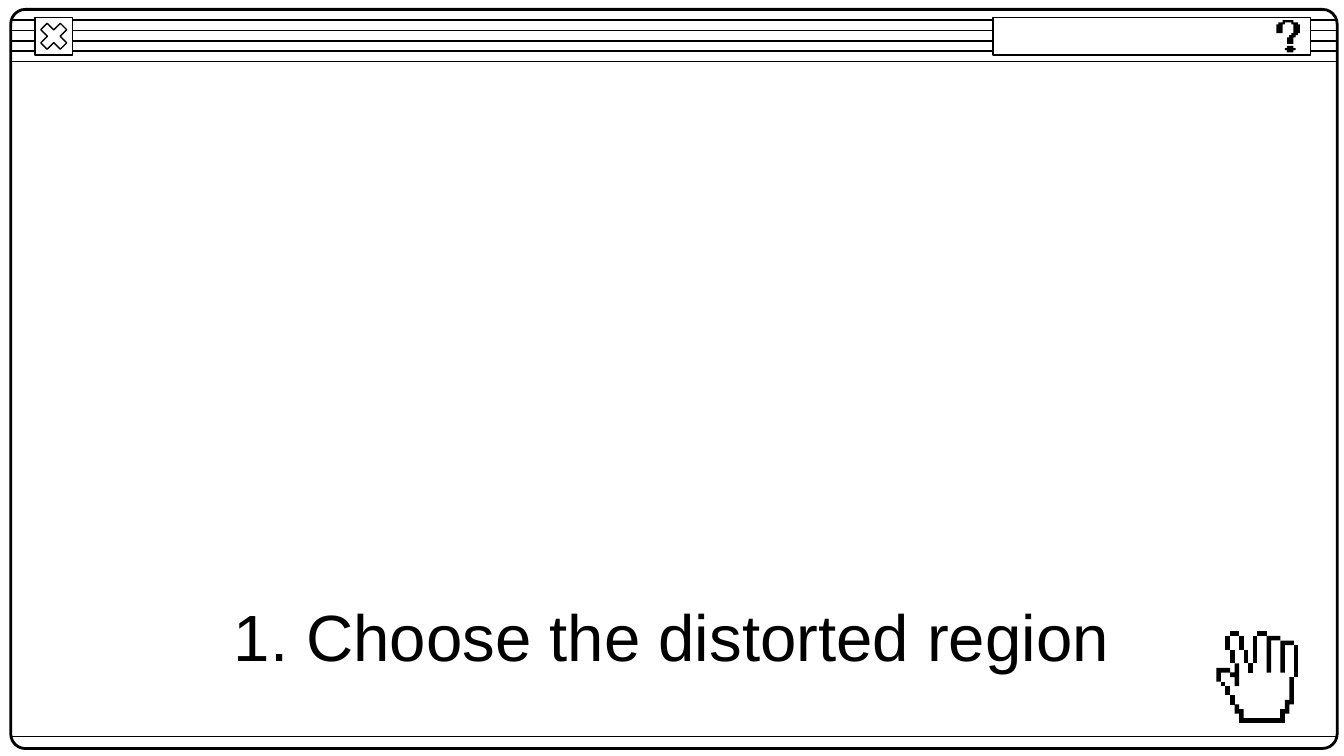
from dataclasses import dataclass

import pptx
import pptx.dml.color
import pptx.enum.shapes
import pptx.enum.text
import pptx.oxml.ns
import pptx.util
from lxml import etree

PX = 914.4  # EMU per px, 1000 px to the inch
COLORS = {"ink": "000000", "paper": "FFFFFF"}
SHAPES = pptx.enum.shapes.MSO_SHAPE


@dataclass(frozen=True)
class Area:
    left: int
    top: int
    width: int
    height: int


@dataclass(frozen=True)
class PixelIcon:
    """Outlines in grid cells; an outline of two points is a block."""
    left: int
    top: int
    cell: int
    outlines: list[tuple[str, str]]  # colour name, "x,y x,y ..."


def emu(px: int) -> int:
    return round(px * PX)


def color(name: str) -> pptx.dml.color.RGBColor:
    return pptx.dml.color.RGBColor.from_string(COLORS[name])


def add_rule(page, left: int, right: int, y: int) -> None:
    rule = page.shapes.add_connector(
        pptx.enum.shapes.MSO_CONNECTOR.STRAIGHT, emu(left), emu(y), emu(right), emu(y))
    rule.line.color.rgb = color("ink")
    rule.line.width = pptx.util.Pt(0.75)
    properties = rule._element.find(pptx.oxml.ns.qn("p:spPr"))
    etree.SubElement(properties, pptx.oxml.ns.qn("a:effectLst"))


def add_panel(page, kind, area: Area, line_width: float = 0.75, filled: bool = True):
    panel = page.shapes.add_shape(
        kind, emu(area.left), emu(area.top), emu(area.width), emu(area.height))
    panel.shadow.inherit = False
    if filled:
        panel.fill.solid()
        panel.fill.fore_color.rgb = color("paper")
    else:
        panel.fill.background()
    panel.line.color.rgb = color("ink")
    panel.line.width = pptx.util.Pt(line_width)
    return panel


def add_icon(page, icon: PixelIcon) -> None:
    for fill, outline in icon.outlines:
        points = [tuple(map(int, point.split(","))) for point in outline.split()]
        if len(points) == 2:
            (left, top), (right, bottom) = points
            points = [(left, top), (left, bottom), (right, bottom), (right, top)]
        builder = page.shapes.build_freeform(*points[0], scale=emu(icon.cell))
        builder.add_line_segments(points[1:], close=True)
        shape = builder.convert_to_shape(emu(icon.left), emu(icon.top))
        shape.shadow.inherit = False
        shape.fill.solid()
        shape.fill.fore_color.rgb = color(fill)
        shape.line.fill.background()


def add_title(page, area: Area, text: str) -> None:
    box = page.shapes.add_textbox(
        emu(area.left), emu(area.top), emu(area.width), emu(area.height))
    box.fill.solid()
    box.fill.fore_color.rgb = color("paper")
    frame = box.text_frame
    frame.word_wrap = True
    frame.vertical_anchor = pptx.enum.text.MSO_ANCHOR.MIDDLE
    frame.margin_left = frame.margin_right = emu(100)
    frame.margin_top = frame.margin_bottom = emu(100)
    frame.text = text
    para = frame.paragraphs[0]
    para.alignment = pptx.enum.text.PP_ALIGN.CENTER
    span = para.runs[0]
    span.font.name = "Arial"
    span.font.size = pptx.util.Pt(35)
    span.font.color.rgb = color("ink")


FRAME = Area(80, 70, 9870, 5500)
CLOSE_BUTTON = Area(260, 130, 280, 280)
HELP_BAR = Area(7390, 130, 2360, 280)

QUESTION_MARK = PixelIcon(9496, 150, 16, [
    ("ink", "5,12 5,13 4,13 4,14 5,14 5,15 8,15 8,14 9,14 9,13 8,13 8,12"),
    ("ink", "3,0 3,1 1,1 1,2 0,2 0,6 3,6 3,2 4,2 4,1 7,1 7,2 8,2 8,6 7,6 7,7 6,7 6,8 "
            "5,8 5,11 8,11 8,8 9,8 9,7 10,7 10,6 11,6 11,2 10,2 10,1 8,1 8,0"),
])

HAND = PixelIcon(9050, 4698, 34, [
    # Palm and fingers
    ("paper", "3,0 3,1 2,1 2,4 3,4 3,7 4,7 4,9 3,9 3,8 0,8 0,11 1,11 1,12 2,12 2,14 "
              "3,14 3,16 4,16 4,18 5,18 5,20 15,20 15,18 16,18 16,16 17,16 17,10 18,10 "
              "18,3 17,3 17,2 14,2 14,1 11,1 11,0 9,0 9,1 8,1 8,7 7,7 7,4 6,4 6,1 5,1 5,0"),
    # Fingertips and right-hand fingers
    ("ink", "3,0 5,1"),
    ("ink", "9,0 11,1"),
    ("ink", "11,1 11,9 12,9 12,2 14,2 14,1"),
    ("ink", "14,2 14,9 15,9 15,3 17,3 17,2"),
    ("ink", "17,3 18,10"),
    # Wrist
    ("ink", "16,10 16,15 15,15 15,17 14,17 14,19 6,19 6,17 5,17 5,16 4,16 4,18 5,18 "
            "5,20 15,20 15,18 16,18 16,16 17,16 17,10"),
    # Left-hand fingers
    ("ink", "4,7 4,9 3,9 3,10 4,10 4,12 5,12 5,7"),
    ("ink", "3,4 4,7"),
    ("ink", "2,1 3,4"),
    ("ink", "7,7 8,9"),
    ("ink", "6,4 7,7"),
    ("ink", "5,1 6,4"),
    ("ink", "8,1 9,7"),
    # Thumb
    ("ink", "0,8 0,11 1,11 1,9 3,9 3,8"),
    ("ink", "1,11 2,12"),
    ("ink", "2,12 3,14"),
    ("ink", "3,14 4,16"),
])


def main() -> None:
    deck = pptx.Presentation()
    deck.slide_width, deck.slide_height = emu(10000), emu(5625)
    page = deck.slides.add_slide(deck.slide_layouts[6])
    page.background.fill.solid()
    page.background.fill.fore_color.rgb = color("paper")

    # Title bar stripes and window frame
    frame_right = FRAME.left + FRAME.width
    for stripe in range(5):
        add_rule(page, FRAME.left, frame_right, 150 + 77 * stripe)
    window = add_panel(page, SHAPES.ROUNDED_RECTANGLE, FRAME, 1.5, filled=False)
    window.adjustments[0] = 0.02

    # Close button, bottom rule and help bar
    add_panel(page, SHAPES.RECTANGLE, CLOSE_BUTTON)
    cross = add_panel(page, SHAPES.MATH_MULTIPLY, CLOSE_BUTTON)
    cross.adjustments[0] = 0.24
    add_rule(page, FRAME.left, frame_right, 5480)
    add_panel(page, SHAPES.RECTANGLE, HELP_BAR)
    add_icon(page, QUESTION_MARK)

    # Title and hand cursor
    add_title(page, Area(780, 4420, 8440, 620), "1. Choose the distorted region")
    add_icon(page, HAND)

    deck.save("out.pptx")


if __name__ == "__main__":
    main()
